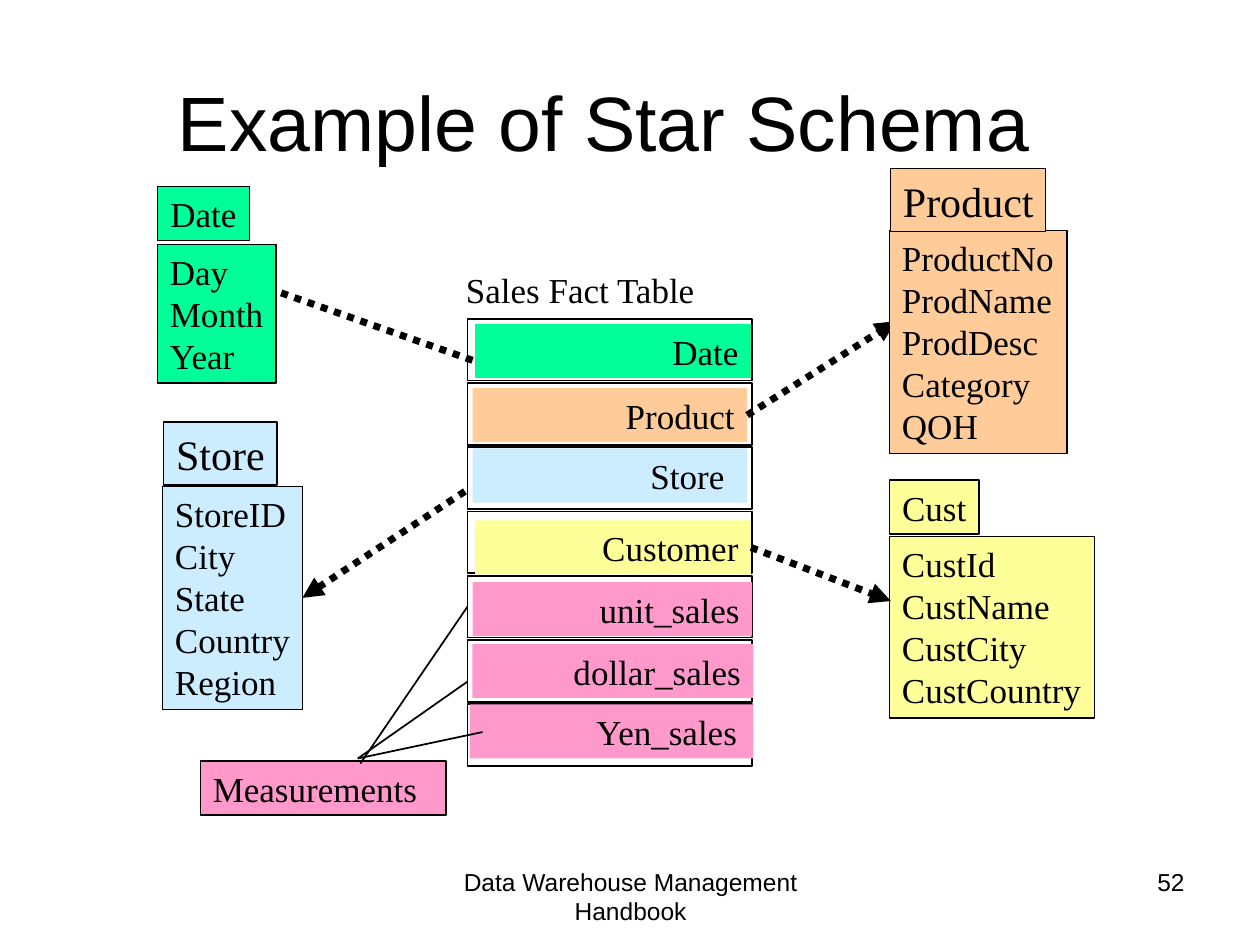
from typing import NamedTuple, Optional

from lxml import etree
from pptx import Presentation
from pptx.dml.color import RGBColor
from pptx.enum.dml import MSO_LINE
from pptx.enum.shapes import MSO_CONNECTOR, MSO_SHAPE
from pptx.enum.text import MSO_ANCHOR, PP_ALIGN
from pptx.oxml.ns import qn
from pptx.util import Inches, Pt

LEFT, CENTER, RIGHT = PP_ALIGN.LEFT, PP_ALIGN.CENTER, PP_ALIGN.RIGHT
TOP, MIDDLE = MSO_ANCHOR.TOP, MSO_ANCHOR.MIDDLE
RECTANGLE, STRAIGHT = MSO_SHAPE.RECTANGLE, MSO_CONNECTOR.STRAIGHT
DOTTED = MSO_LINE.ROUND_DOT
SITE_LEFT, SITE_RIGHT = 1, 3
SANS, SERIF = "Arial", "Times New Roman"
COLORS = {
    "black": "000000",
    "date": "00FF99",
    "product": "FFCC99",
    "store": "CCECFF",
    "customer": "FFFF99",
    "measure": "FF99CC",
}


class Box(NamedTuple):
    left: float
    top: float
    width: float
    height: float


class Dimension(NamedTuple):
    name: str
    color: str
    name_box: Box
    name_size: int
    fields: tuple
    fields_box: Box


class FactRow(NamedTuple):
    label: str
    color: str
    box: Box
    right_inset: float = 0.1


class Link(NamedTuple):
    start: tuple
    end: tuple
    start_joint: Optional[tuple] = None
    end_joint: Optional[tuple] = None
    dotted: bool = False
    arrow: bool = False


def rgb(name: str) -> RGBColor:
    return RGBColor.from_string(COLORS[name])


def write(shape, lines, size: int, font: str = SERIF, align=LEFT,
          anchor=TOP, wrap: bool = False, right_inset: float = 0.1) -> None:
    frame = shape.text_frame
    frame.word_wrap = wrap
    frame.vertical_anchor = anchor
    frame.margin_left, frame.margin_right = Inches(0.1), Inches(right_inset)
    frame.margin_top = frame.margin_bottom = Inches(0.05)
    for index, line in enumerate(lines):
        paragraph = frame.add_paragraph() if index else frame.paragraphs[0]
        paragraph.alignment = align
        if font == SERIF:
            paragraph.line_spacing = Pt(size * 1.2)
        run = paragraph.add_run()
        run.text = line
        run.font.name, run.font.size = font, Pt(size)
        run.font.color.rgb = rgb("black")


def add_text(slide, box: Box, text: str, size: int, font: str, **options) -> None:
    shape = slide.shapes.add_textbox(*map(Inches, box))
    write(shape, [text], size, font, **options)


def add_box(slide, box: Box, color: Optional[str], line_width: float = 0):
    shape = slide.shapes.add_shape(RECTANGLE, *map(Inches, box))
    shape.shadow.inherit = False
    if color:
        shape.fill.solid()
        shape.fill.fore_color.rgb = rgb(color)
    else:
        shape.fill.background()
    if line_width:
        shape.line.color.rgb = rgb("black")
        shape.line.width = Pt(line_width)
    else:
        shape.line.fill.background()
    return shape


def add_dimension(slide, dimension: Dimension):
    fields = add_box(slide, dimension.fields_box, dimension.color, 0.75)
    write(fields, dimension.fields, 20)
    name = add_box(slide, dimension.name_box, dimension.color, 0.75)
    write(name, [dimension.name], dimension.name_size, align=CENTER, anchor=MIDDLE)
    return fields


def add_link(slide, link: Link) -> None:
    connector = slide.shapes.add_connector(
        STRAIGHT, *map(Inches, link.start + link.end))
    if link.start_joint:
        connector.begin_connect(*link.start_joint)
    if link.end_joint:
        connector.end_connect(*link.end_joint)
    connector.line.color.rgb = rgb("black")
    connector.line.width = Pt(4 if link.dotted else 1)
    if link.dotted:
        connector.line.dash_style = DOTTED
    if link.arrow:
        line = connector.line._get_or_add_ln()
        etree.SubElement(line, qn("a:tailEnd"), type="triangle")
    etree.SubElement(connector._element.spPr, qn("a:effectLst"))


DATE = Dimension("Date", "date", Box(1.25, 1.48, 0.73, 0.43), 20,
                 ("Day", "Month", "Year"), Box(1.25, 1.94, 0.94, 1.1))
CUSTOMER = Dimension("Cust", "customer", Box(7.06, 3.81, 0.71, 0.43), 20,
                     ("CustId", "CustName", "CustCity", "CustCountry"),
                     Box(7.06, 4.26, 1.63, 1.44))
STORE = Dimension("Store", "store", Box(1.3, 3.35, 0.9, 0.5), 24,
                  ("StoreID", "City", "State", "Country", "Region"),
                  Box(1.29, 3.86, 1.11, 1.77))
PRODUCT = Dimension("Product", "product", Box(7.07, 1.34, 1.23, 0.5), 24,
                    ("ProductNo", "ProdName", "ProdDesc", "Category", "QOH"),
                    Box(7.06, 1.83, 1.41, 1.77))
FACT_ROWS = [
    FactRow("Date", "date", Box(3.77, 2.57, 2.19, 0.43)),
    FactRow("Product", "product", Box(3.75, 3.08, 2.18, 0.43)),
    FactRow("Store", "store", Box(3.75, 3.56, 2.18, 0.43), 0.18),
    FactRow("Customer", "customer", Box(3.77, 4.13, 2.19, 0.43)),
    FactRow("unit_sales", "measure", Box(3.75, 4.62, 2.22, 0.43)),
    FactRow("dollar_sales", "measure", Box(3.75, 5.11, 2.23, 0.43)),
    FactRow("Yen_sales", "measure", Box(3.73, 5.59, 2.25, 0.43), 0.13),
]
ROW_TOP, ROW_PITCH = 2.53, 0.51


def main() -> None:
    presentation = Presentation()
    presentation.slide_width, presentation.slide_height = Inches(10), Inches(7.5)
    slide = presentation.slides.add_slide(presentation.slide_layouts[6])

    # Title and footer
    add_text(slide, Box(0.62, 0.5, 8.35, 0.91), "Example of Star Schema", 44, SANS,
             align=CENTER, anchor=MIDDLE, wrap=True)
    add_text(slide, Box(3.42, 6.83, 3.17, 0.52), "Data Warehouse Management Handbook",
             14, SANS, align=CENTER, wrap=True)
    add_text(slide, Box(7.17, 6.83, 2.33, 0.52), "52", 14, SANS,
             align=RIGHT, wrap=True)

    # Dimension tables on the left and lower right
    add_dimension(slide, DATE)
    add_dimension(slide, CUSTOMER)
    store_fields = add_dimension(slide, STORE)

    # Fact table: an outlined cell with a coloured label in each row
    add_text(slide, Box(3.6, 2.08, 2.04, 0.43), "Sales Fact Table", 20, SERIF)
    cells, labels = {}, {}
    for index, row in enumerate(FACT_ROWS):
        cell_box = Box(3.71, ROW_TOP + index * ROW_PITCH, 2.26, 0.49)
        cells[row.label] = add_box(slide, cell_box, None, 1)
        labels[row.label] = add_box(slide, row.box, row.color)
        write(labels[row.label], [row.label], 20, align=RIGHT, wrap=True,
              right_inset=row.right_inset)

    # Measurements caption
    caption = add_box(slide, Box(1.59, 6.04, 1.95, 0.43), "measure", 0.75)
    write(caption, ["Measurements"], 20, wrap=True)

    # Lines to the measures, then dotted links to the dimensions
    links = [
        Link((2.86, 6.06), (3.71, 4.81), end_joint=(cells["unit_sales"], SITE_LEFT)),
        Link((2.84, 6.02), (3.71, 5.41)),
        Link((2.84, 6.02), (3.83, 5.81)),
        Link((3.69, 3.9), (2.38, 4.71), end_joint=(store_fields, SITE_RIGHT),
             dotted=True, arrow=True),
        Link((3.75, 2.86), (2.19, 2.31), dotted=True),
        Link((5.94, 4.35), (7.07, 4.77), start_joint=(labels["Customer"], SITE_RIGHT),
             dotted=True, arrow=True),
        Link((5.94, 3.29), (7.11, 2.55), start_joint=(labels["Product"], SITE_RIGHT),
             dotted=True, arrow=True),
    ]
    for link in links:
        add_link(slide, link)

    # Product dimension covers the tip of its arrow
    add_dimension(slide, PRODUCT)

    presentation.save("out.pptx")


if __name__ == "__main__":
    main()
